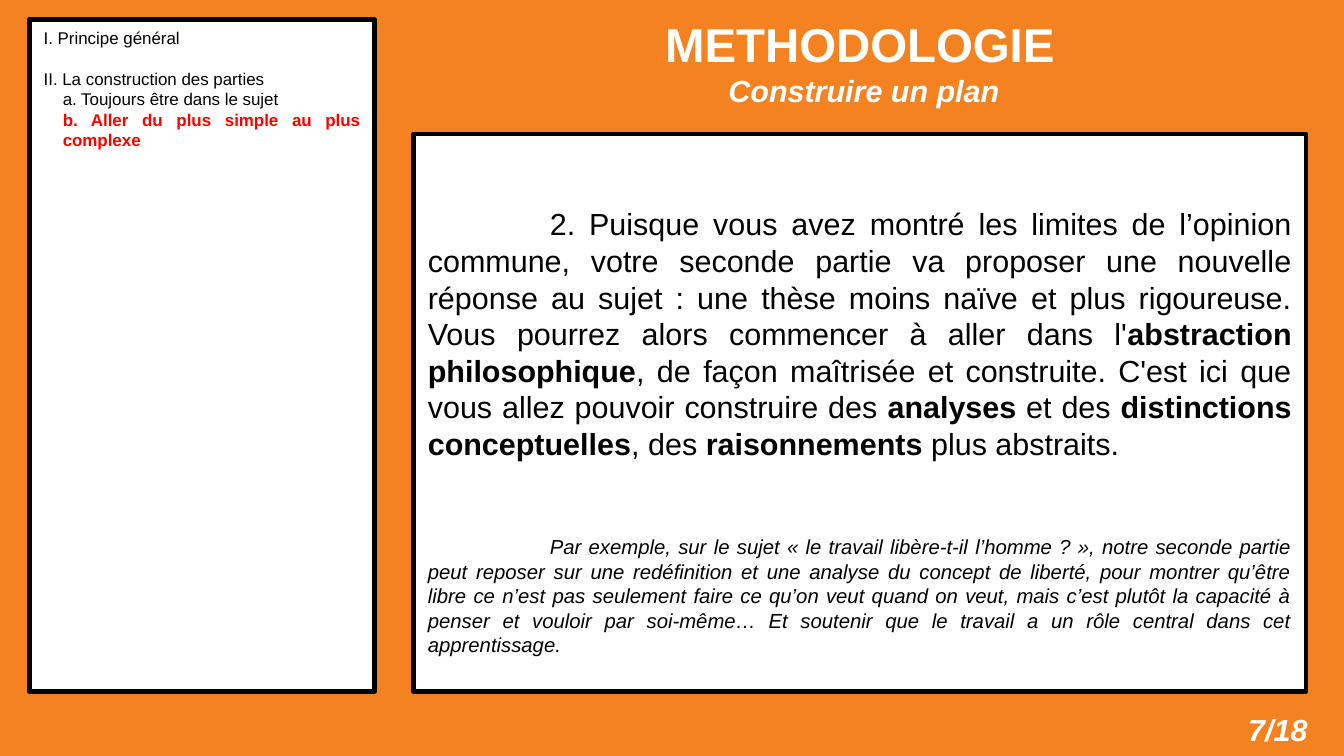
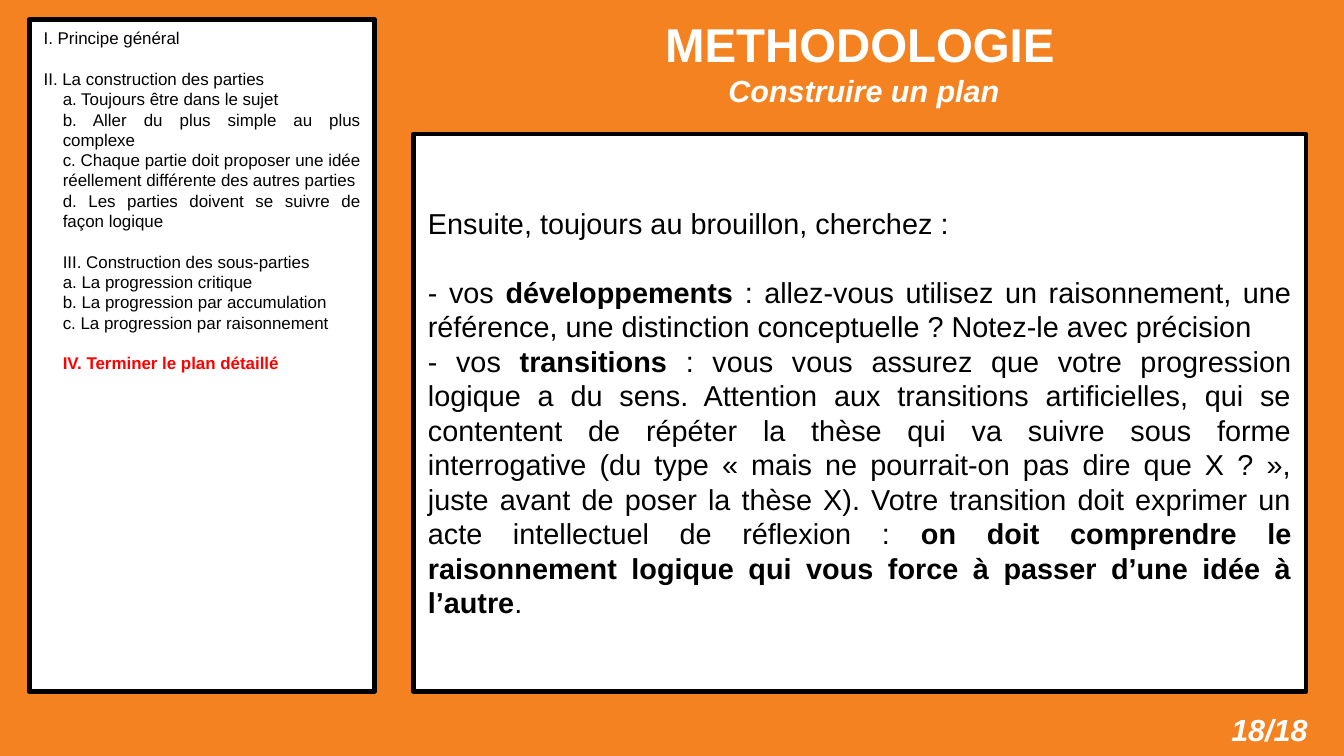
from dataclasses import dataclass

from pptx import Presentation
from pptx.dml.color import RGBColor
from pptx.enum.shapes import MSO_SHAPE as Shape
from pptx.enum.text import MSO_ANCHOR as Anchor, PP_ALIGN as Align
from pptx.util import Pt

ORANGE, WHITE, BLACK, RED = "F58220", "FFFFFF", "000000", "FF0000"
FONT = "Arial"
LINE_HEIGHT = 1.2
STEP = 11.3  # indent of the outline's second level
PAGE_COUNT = 18


@dataclass(frozen=True)
class Area:
    left: float
    top: float
    width: float
    height: float


@dataclass(frozen=True)
class Line:
    """A paragraph; text between double asterisks is bold."""
    text: str
    size: float
    color: str = BLACK
    bold: bool = False
    italic: bool = False
    align: Align = Align.JUSTIFY
    left: float = 0
    first: float = 0
    before: float = 0


@dataclass(frozen=True)
class Lesson:
    number: int
    outline: list[Line]
    body: list[Line]
    body_drop: float = 0  # extra inset above the body text


# Shared layout
PAGE = Area(0, 0, 793.44, 446.4)
OUTLINE = Area(17.3, 11.5, 203.8, 396.7)
BODY = Area(244.1, 79.2, 527, 329)
TITLE = Area(BODY.left, 0, BODY.width, 73.4)
NUMBER = Area(702.7, 416.2, 76.3, 47.5)


def rgb(color: str) -> RGBColor:
    return RGBColor.from_string(color)


def write(shape, lines: list[Line], anchor: Anchor,
          inset_x: float, inset_y: float, drop: float = 0) -> None:
    frame = shape.text_frame
    frame.word_wrap = True
    frame.vertical_anchor = anchor
    frame.margin_left = frame.margin_right = Pt(inset_x)
    frame.margin_top, frame.margin_bottom = Pt(inset_y + drop), Pt(inset_y)
    for index, line in enumerate(lines):
        para = frame.add_paragraph() if index else frame.paragraphs[0]
        para.alignment = line.align
        para.line_spacing = Pt(line.size * LINE_HEIGHT)
        if line.before:
            para.space_before = Pt(line.before)
        properties = para._p.get_or_add_pPr()
        properties.set("marL", str(Pt(line.left)))
        properties.set("indent", str(Pt(line.first)))
        font = para.font
        font.name, font.size = FONT, Pt(line.size)
        font.bold, font.italic = line.bold, line.italic
        font.color.rgb = rgb(line.color)
        for part, text in enumerate(line.text.split("**")):
            span = para.add_run()
            span.text = text
            if part % 2:
                span.font.bold = True


def add_label(page, area: Area, lines: list[Line], anchor: Anchor) -> None:
    box = page.shapes.add_textbox(Pt(area.left), Pt(area.top), Pt(area.width), Pt(area.height))
    write(box, lines, anchor, 7.2, 3.6)


def add_panel(page, area: Area, lines: list[Line], anchor: Anchor, drop: float = 0) -> None:
    panel = page.shapes.add_shape(
        Shape.RECTANGLE, Pt(area.left), Pt(area.top), Pt(area.width), Pt(area.height))
    panel.shadow.inherit = False
    panel.fill.solid()
    panel.fill.fore_color.rgb = rgb(WHITE)
    panel.line.color.rgb = rgb(BLACK)
    panel.line.width = Pt(2.83)
    write(panel, lines, anchor, 8.5, 5, drop)


def add_lesson(deck, lesson: Lesson) -> None:
    page = deck.slides.add_slide(deck.slide_layouts[6])
    page.background.fill.solid()
    page.background.fill.fore_color.rgb = rgb(ORANGE)
    # Title and page number
    add_label(page, TITLE, [
        Line("METHODOLOGIE", 28, WHITE, bold=True, align=Align.CENTER, first=-5),
        Line("Construire un plan", 18, WHITE, bold=True, italic=True,
             align=Align.CENTER, left=5),
    ], Anchor.MIDDLE)
    add_label(page, NUMBER, [
        Line(f"{lesson.number}/{PAGE_COUNT}", 18, WHITE, bold=True, italic=True,
             align=Align.RIGHT),
    ], Anchor.TOP)
    # Outline and body
    add_panel(page, OUTLINE, lesson.outline, Anchor.TOP)
    add_panel(page, BODY, lesson.body, Anchor.MIDDLE, lesson.body_drop)


def entry(text: str, left: float = STEP, gap: bool = False, current: bool = False) -> Line:
    """One outline entry, red and bold when it is the current one."""
    return Line(text, 10, RED if current else BLACK, bold=current, left=left,
                before=10 * LINE_HEIGHT if gap else 0)


OUTLINE_START = [
    entry("I. Principe général", left=0),
    entry("II. La construction des parties", left=0, gap=True),
    entry("a. Toujours être dans le sujet"),
]
SIMPLE_TO_COMPLEX = "b. Aller du plus simple au plus complexe"

LESSONS = [
    Lesson(
        7,
        OUTLINE_START + [entry(SIMPLE_TO_COMPLEX, current=True)],
        [
            Line("2. Puisque vous avez montré les limites de l’opinion commune, votre seconde "
                 "partie va proposer une nouvelle réponse au sujet : une thèse moins naïve et "
                 "plus rigoureuse. Vous pourrez alors commencer à aller dans l'**abstraction "
                 "philosophique**, de façon maîtrisée et construite. C'est ici que vous allez "
                 "pouvoir construire des **analyses** et des **distinctions conceptuelles**, "
                 "des **raisonnements** plus abstraits.", 18, first=72),
            Line("Par exemple, sur le sujet « le travail libère-t-il l’homme ? », notre seconde "
                 "partie peut reposer sur une redéfinition et une analyse du concept de liberté, "
                 "pour montrer qu’être libre ce n’est pas seulement faire ce qu’on veut quand on "
                 "veut, mais c’est plutôt la capacité à penser et vouloir par soi-même… Et "
                 "soutenir que le travail a un rôle central dans cet apprentissage.",
                 12, italic=True, first=72, before=2 * 18 * LINE_HEIGHT),
        ],
        body_drop=18 * LINE_HEIGHT,
    ),
    Lesson(
        18,
        OUTLINE_START + [
            entry(SIMPLE_TO_COMPLEX),
            entry("c. Chaque partie doit proposer une idée réellement différente des autres "
                  "parties"),
            entry("d. Les parties doivent se suivre de façon logique"),
            entry("III. Construction des sous-parties", gap=True),
            entry("a. La progression critique"),
            entry("b. La progression par accumulation"),
            entry("c. La progression par raisonnement"),
            entry("IV. Terminer le plan détaillé", gap=True, current=True),
        ],
        [
            Line("Ensuite, toujours au brouillon, cherchez :", 17),
            Line("- vos **développements **: allez-vous utilisez un raisonnement, une référence, "
                 "une distinction conceptuelle ? Notez-le avec précision",
                 17, before=17 * LINE_HEIGHT),
            Line("- vos **transitions **: vous vous assurez que votre progression logique a du "
                 "sens. Attention aux transitions artificielles, qui se contentent de répéter la "
                 "thèse qui va suivre sous forme interrogative (du type « mais ne pourrait-on "
                 "pas dire que X ? », juste avant de poser la thèse X). Votre transition doit "
                 "exprimer un acte intellectuel de réflexion : **on doit comprendre le "
                 "raisonnement logique qui vous force à passer d’une idée à l’autre**.", 17),
        ],
    ),
]


def main() -> None:
    deck = Presentation()
    deck.slide_width, deck.slide_height = Pt(PAGE.width), Pt(PAGE.height)
    for lesson in LESSONS:
        add_lesson(deck, lesson)
    deck.save("out.pptx")


if __name__ == "__main__":
    main()
